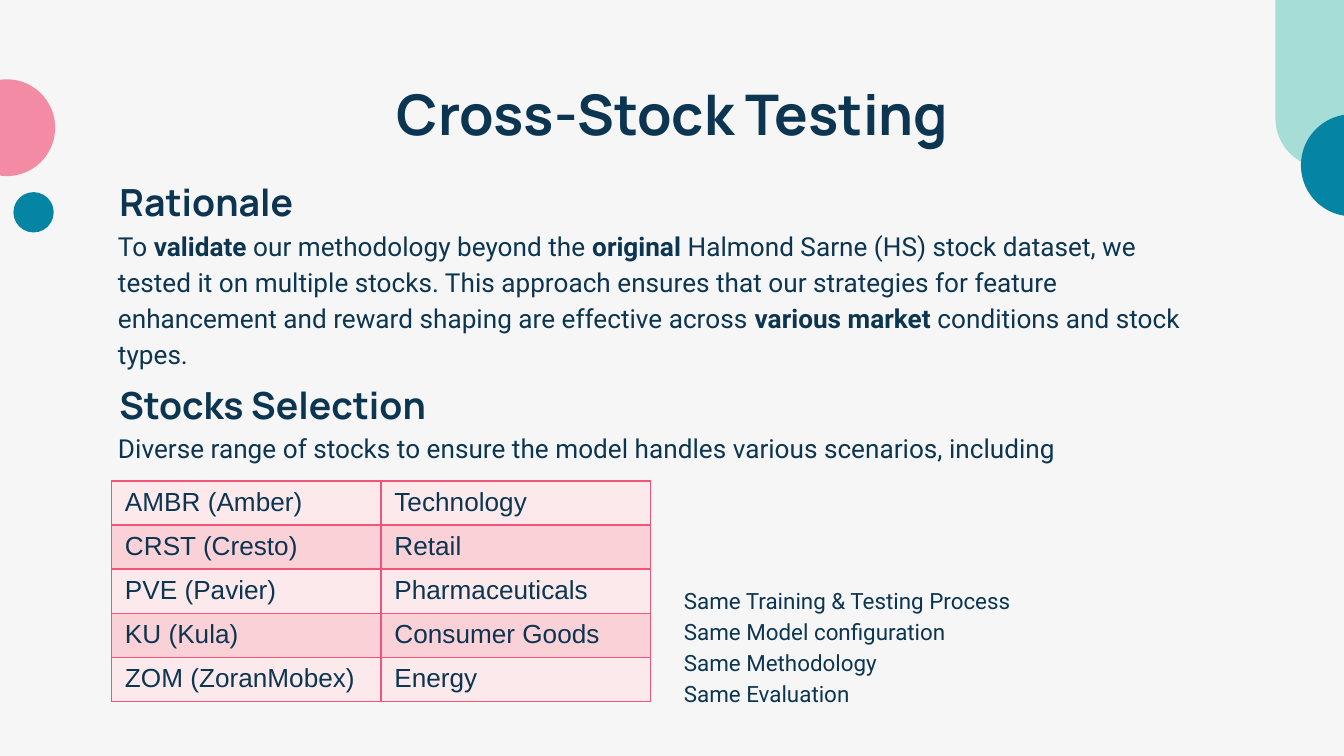
from dataclasses import dataclass

from lxml import etree
from pptx import Presentation
from pptx.dml.color import RGBColor
from pptx.enum.shapes import MSO_SHAPE
from pptx.enum.text import MSO_ANCHOR, PP_ALIGN
from pptx.oxml.ns import qn
from pptx.util import Inches, Pt

OVAL, CHORD, ROUNDED = MSO_SHAPE.OVAL, MSO_SHAPE.CHORD, MSO_SHAPE.ROUNDED_RECTANGLE
TOP, BOTTOM = MSO_ANCHOR.TOP, MSO_ANCHOR.BOTTOM
LEFT, CENTER = PP_ALIGN.LEFT, PP_ALIGN.CENTER


@dataclass(frozen=True)
class Theme:
    background: str = "F6F6F6"
    ink: str = "0B3550"
    teal: str = "0584A4"
    mint: str = "74CEC4"
    pink: str = "F2557A"
    bands: tuple = ("FCE9EC", "FAD1D7")
    heading_font: str = "Manrope"
    body_font: str = "Roboto"
    table_font: str = "Arial"
    title_size: int = 30
    heading_size: int = 20
    body_size: int = 14
    note_size: int = 12
    line_spacing: float = 1.15
    indent: float = 0.15


THEME = Theme()

RATIONALE = [
    ("To ", False), ("validate", True), (" our methodology beyond the ", False),
    ("original", True),
    (" Halmond Sarne (HS) stock dataset, we tested it on multiple stocks. "
     "This approach ensures that our strategies for feature enhancement and "
     "reward shaping are effective across ", False),
    ("various market ", True), ("conditions and stock types.", False),
]
SELECTION = "Diverse range of stocks to ensure the model handles various scenarios, including"
STOCKS = [
    ("AMBR (Amber)", "Technology"),
    ("CRST (Cresto)", "Retail"),
    ("PVE (Pavier)", "Pharmaceuticals"),
    ("KU (Kula)", "Consumer Goods"),
    ("ZOM (ZoranMobex)", "Energy"),
]
CONSTANTS = ["Same Training & Testing Process", "Same Model configuration",
             "Same Methodology", "Same Evaluation"]


def inches(box):
    return [Inches(length) for length in box]


def style_font(font, name, size, bold=False):
    font.name, font.size, font.bold = name, Pt(size), bold
    font.color.rgb = RGBColor.from_string(THEME.ink)


def add_decoration(page, kind, box, color, adjustments=(), alpha=None):
    """Add a borderless shape; alpha is its opacity in percent."""
    shape = page.shapes.add_shape(kind, *inches(box))
    shape.shadow.inherit = False
    shape.line.fill.background()
    shape.fill.solid()
    shape.fill.fore_color.rgb = RGBColor.from_string(color)
    for index, value in enumerate(adjustments):
        shape.adjustments[index] = value
    if alpha is not None:
        tint = shape.fill._xPr.find(f"{qn('a:solidFill')}/{qn('a:srgbClr')}")
        etree.SubElement(tint, qn("a:alpha"), val=str(alpha * 1000))


def add_text(page, box, paragraphs, font, size, bold=False, anchor=TOP,
             align=LEFT, spacing=THEME.line_spacing, indent=0):
    """Add paragraphs, each a list of (text, bold) spans or a plain string."""
    frame = page.shapes.add_textbox(*inches(box)).text_frame
    frame.word_wrap = True
    frame.vertical_anchor = anchor
    frame.margin_left = frame.margin_right = Inches(0.1)
    frame.margin_top = frame.margin_bottom = Inches(0.1)
    for index, spans in enumerate(paragraphs):
        para = frame.add_paragraph() if index else frame.paragraphs[0]
        para.alignment, para.line_spacing = align, spacing
        if indent:
            properties = para._p.get_or_add_pPr()
            properties.set("marL", str(Inches(indent)))
            properties.set("indent", "0")
        for text, strong in [(spans, bold)] if isinstance(spans, str) else spans:
            span = para.add_run()
            span.text = text
            style_font(span.font, font, size, strong)


def add_heading(page, box, text):
    add_text(page, box, [text], THEME.heading_font, THEME.heading_size,
             bold=True, anchor=BOTTOM)


def add_body(page, box, paragraphs, size=THEME.body_size):
    add_text(page, box, paragraphs, THEME.body_font, size, indent=THEME.indent)


def add_section(page, box, heading, paragraph, offset):
    """Place a heading and its body text, which starts offset below the top."""
    left, top, width, height = box
    add_heading(page, (left, top, width, 0.55), heading)
    add_body(page, (left - 0.16, top + offset, width, height - offset), [paragraph])


def set_borders(cell):
    properties = cell._tc.get_or_add_tcPr()
    for index, side in enumerate(("a:lnL", "a:lnR", "a:lnT", "a:lnB")):
        line = etree.Element(qn(side), w=str(Pt(1)))
        fill = etree.SubElement(line, qn("a:solidFill"))
        etree.SubElement(fill, qn("a:srgbClr"), val=THEME.pink)
        properties.insert(index, line)


def add_stock_table(page, box, rows):
    table = page.shapes.add_table(len(rows), len(rows[0]), *inches(box)).table
    table.first_row = table.horz_banding = False
    for row_index, texts in enumerate(rows):
        for column_index, text in enumerate(texts):
            cell = table.cell(row_index, column_index)
            cell.text = text
            cell.margin_bottom = Inches(0.04)
            style_font(cell.text_frame.paragraphs[0].runs[0].font,
                       THEME.table_font, THEME.body_size)
            cell.fill.solid()
            cell.fill.fore_color.rgb = RGBColor.from_string(THEME.bands[row_index % 2])
            set_borders(cell)


def add_left_circles(page, left, top):
    add_decoration(page, OVAL, (left + 0.41, top + 0.84, 0.3, 0.3), THEME.teal)
    add_decoration(page, OVAL, (left, top, 0.72, 0.72), THEME.pink, alpha=66)


def add_right_corner(page, left, top):
    add_decoration(page, ROUNDED, (left, top, 0.74, 2), THEME.mint, [0.5], alpha=61)
    # Chord from 90 to 270 degrees: the left half of a circle
    add_decoration(page, CHORD, (left + 0.19, top + 1.6, 0.76, 0.76), THEME.teal, [54, 162])


def main():
    deck = Presentation()
    deck.slide_width, deck.slide_height = Inches(10), Inches(10 * 9 / 16)
    page = deck.slides.add_slide(deck.slide_layouts[6])
    page.background.fill.solid()
    page.background.fill.fore_color.rgb = RGBColor.from_string(THEME.background)

    add_left_circles(page, -0.31, 0.59)
    add_right_corner(page, 9.49, -0.75)
    add_text(page, (0.79, 0.49, 8.43, 0.63), ["Cross-Stock Testing"],
             THEME.heading_font, THEME.title_size, bold=True, align=CENTER, spacing=1.0)
    add_section(page, (0.79, 1.22, 8.43, 1.38), "Rationale", RATIONALE, 0.36)
    add_section(page, (0.79, 2.73, 8.43, 0.9), "Stocks Selection", SELECTION, 0.35)
    add_stock_table(page, (0.83, 3.58, 4.01, 1.64), STOCKS)
    add_body(page, (4.84, 4.24, 4.54, 0.55), CONSTANTS, THEME.note_size)
    deck.save("out.pptx")


if __name__ == "__main__":
    main()
